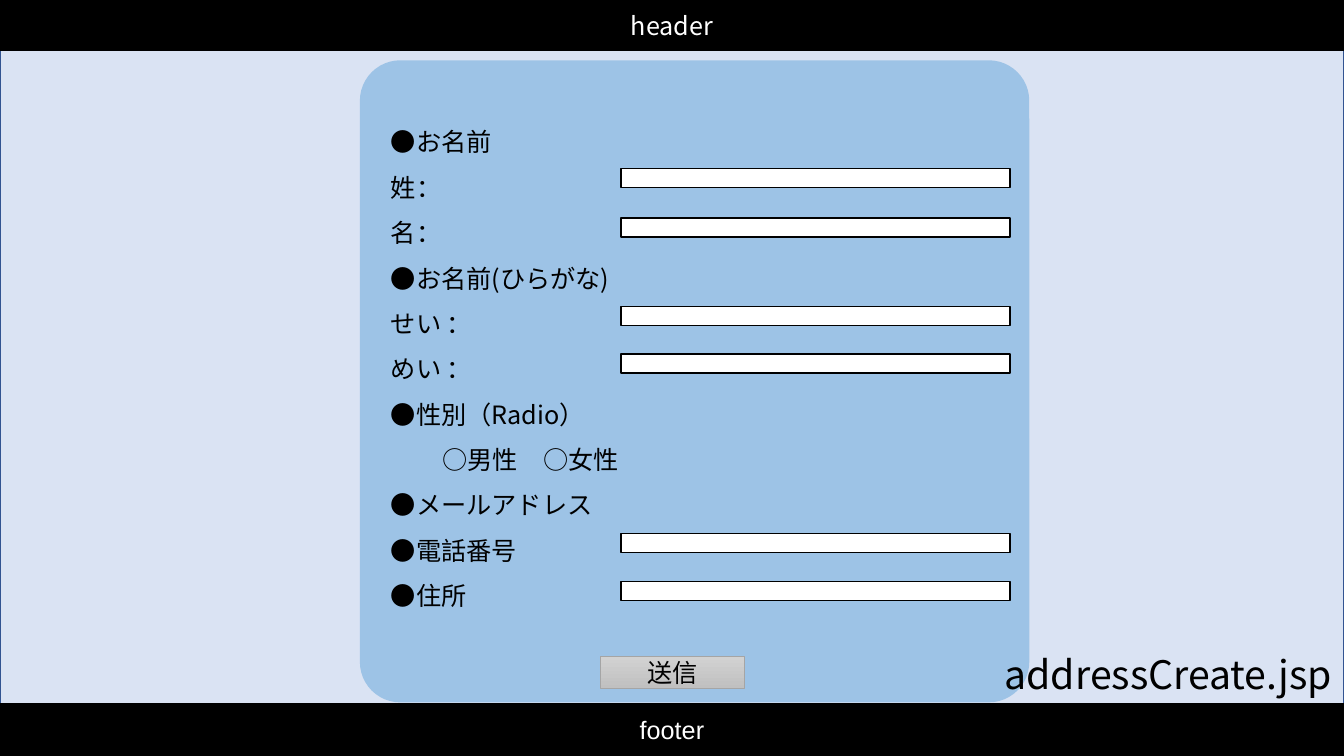
from pptx import Presentation
from pptx.dml.color import RGBColor
from pptx.enum.shapes import MSO_SHAPE
from pptx.enum.text import MSO_ANCHOR, PP_ALIGN
from pptx.oxml.ns import qn
from pptx.util import Cm, Pt
from lxml import etree

RECT = MSO_SHAPE.RECTANGLE
ROUNDED = MSO_SHAPE.ROUNDED_RECTANGLE
CENTER, LEFT = PP_ALIGN.CENTER, PP_ALIGN.LEFT
MIDDLE, TOP = MSO_ANCHOR.MIDDLE, MSO_ANCHOR.TOP

FONT = "Noto Sans CJK JP"
BLACK, WHITE, PANEL = "000000", "FFFFFF", "9DC3E6"
WIDTH, HEIGHT = 33.87, 19.05
FIELD_TOPS = (4.24, 5.49, 7.72, 8.92, 13.44, 14.66)
GENDER = "○男性　○女性"
LABELS = (
    "●お名前", "姓：", "名：",
    "●お名前(ひらがな)", "せい ：", "めい ：",
    "●性別（Radio）", GENDER,
    "●メールアドレス", "●電話番号", "●住所",
)


def rgb(value):
    """Turn a hex string into a colour."""
    return RGBColor.from_string(value)


def add_box(s, x, y, w, h, fill, line=None, line_width=1, kind=RECT):
    """Add a filled shape; two fill colours make a vertical gradient."""
    sp = s.shapes.add_shape(kind, Cm(x), Cm(y), Cm(w), Cm(h))
    sp.shadow.inherit = False
    if isinstance(fill, tuple):
        sp.fill.gradient()
        sp.fill.gradient_angle = 270
        for stop, color in zip(sp.fill.gradient_stops, fill):
            stop.color.rgb = rgb(color)
    else:
        sp.fill.solid()
        sp.fill.fore_color.rgb = rgb(fill)
    if line:
        sp.line.color.rgb = rgb(line)
        sp.line.width = Pt(line_width)
    else:
        sp.line.fill.background()
    return sp


def write(sp, *lines, size=18, color=BLACK, font=FONT, align=CENTER,
          anchor=MIDDLE, spacing=None):
    """Write one paragraph per line of text into a shape."""
    tf = sp.text_frame
    tf.word_wrap = True
    tf.vertical_anchor = anchor
    for i, text in enumerate(lines):
        p = tf.add_paragraph() if i else tf.paragraphs[0]
        p.alignment = align
        p.line_spacing = spacing
        r = p.add_run()
        r.text = text
        r.font.size = Pt(size)
        r.font.name = font
        r.font.color.rgb = rgb(color)
        etree.SubElement(r.font._element, qn("a:ea"), typeface=font)
    return tf


def indent(p, distance):
    """Move a paragraph in from the left edge."""
    pPr = p._p.get_or_add_pPr()
    pPr.set("marL", str(Cm(distance)))
    pPr.set("indent", "0")


def add_bar(s, text, y, h, font=FONT):
    """Add a black bar with a caption across the slide."""
    write(add_box(s, 0, y, WIDTH, h, BLACK, BLACK), text, color=WHITE, font=font)


def add_labels(s):
    """Add the list of form labels."""
    sp = add_box(s, 9.6, 2.69, 15.47, 12.95, PANEL)
    tf = write(sp, *LABELS, align=LEFT, anchor=TOP, spacing=1.5)
    indent(tf.paragraphs[LABELS.index(GENDER)], 1.3)


def add_file_name(s, text):
    """Add the page's file name at the lower right."""
    sp = s.shapes.add_textbox(Cm(25.07), Cm(16.26), Cm(9.35), Cm(1.45))
    write(sp, text, size=28, align=LEFT, anchor=TOP)


def main():
    """Build the address form slide."""
    prs = Presentation()
    prs.slide_width, prs.slide_height = Cm(WIDTH), Cm(HEIGHT)
    s = prs.slides.add_slide(prs.slide_layouts[6])

    add_box(s, 0, 0.64, WIDTH, 18.41, "DAE3F3", "325491")
    panel = add_box(s, 9.07, 1.52, 16.87, 16.18, PANEL, kind=ROUNDED)
    panel.adjustments[0] = 0.063
    add_bar(s, "header", 0, 1.27)
    add_labels(s)
    add_bar(s, "footer", 17.73, 1.32, font="Arial")
    add_file_name(s, "addressCreate.jsp")
    button = add_box(s, 15.14, 16.54, 3.61, 0.81, ("D2D2D2", "C0C0C0"),
                     "A5A5A5", 0.5)
    write(button, "送信")
    for y in FIELD_TOPS:
        add_box(s, 15.65, y, 9.8, 0.48, WHITE, BLACK)

    prs.save("out.pptx")


main()
